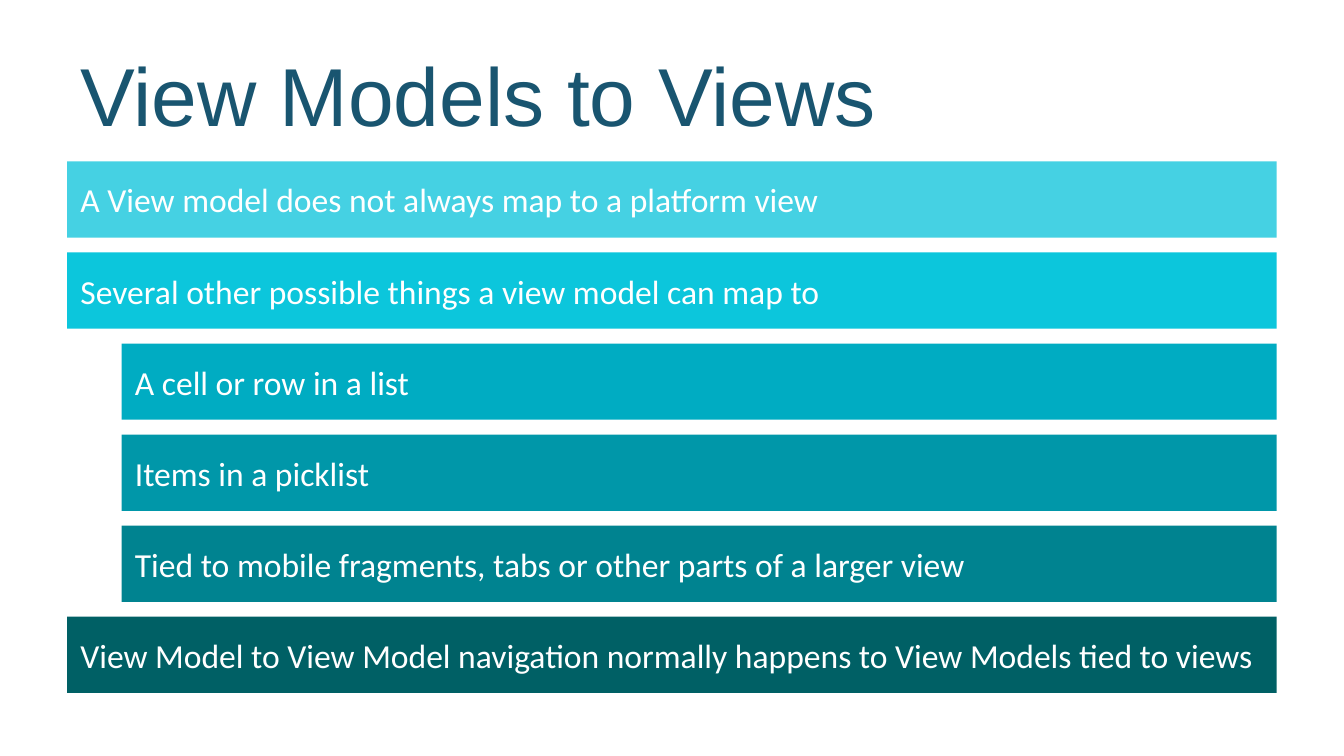
"""Build the slide "View Models to Views" with its stack of coloured bars."""
from pptx import Presentation
from pptx.dml.color import RGBColor
from pptx.enum.shapes import MSO_SHAPE
from pptx.enum.text import MSO_ANCHOR, PP_ALIGN
from pptx.util import Cm, Pt

WHITE = RGBColor(0xFF, 0xFF, 0xFF)
NAVY = RGBColor(0x19, 0x55, 0x70)
SKY = RGBColor(0x45, 0xD1, 0xE3)
CYAN = RGBColor(0x0C, 0xC6, 0xDC)
TURQUOISE = RGBColor(0x00, 0xAC, 0xC2)
TEAL = RGBColor(0x00, 0x97, 0xA9)
DEEP_TEAL = RGBColor(0x00, 0x83, 0x90)
DARK_TEAL = RGBColor(0x00, 0x60, 0x65)

TITLE = "View Models to Views"
BARS = [
    ("A View model does not always map to a platform view", 0, SKY),
    ("Several other possible things a view model can map to", 0, CYAN),
    ("A cell or row in a list", 1, TURQUOISE),
    ("Items in a picklist", 1, TEAL),
    ("Tied to mobile fragments, tabs or other parts of a larger view", 1, DEEP_TEAL),
    ("View Model to View Model navigation normally happens to View Models tied to views",
     0, DARK_TEAL),
]

LEFT, WIDTH = 1.27, 22.86
BAR_TOP, BAR_HEIGHT, BAR_PITCH, INDENT = 3.05, 1.44, 1.72, 1.03


def write(sp, text, font="Calibri", size=18, color=WHITE):
    tf = sp.text_frame
    tf.word_wrap = True
    tf.vertical_anchor = MSO_ANCHOR.MIDDLE
    tf.margin_left = tf.margin_right = Cm(0.25)
    tf.margin_top = tf.margin_bottom = Cm(0.13)
    p = tf.paragraphs[0]
    p.alignment = PP_ALIGN.LEFT
    r = p.add_run()
    r.text = text
    r.font.name = font
    r.font.size = Pt(size)
    r.font.color.rgb = color


def add_bar(s, row, text, level, color):
    shift = level * INDENT
    sp = s.shapes.add_shape(
        MSO_SHAPE.RECTANGLE, Cm(LEFT + shift), Cm(BAR_TOP + row * BAR_PITCH),
        Cm(WIDTH - shift), Cm(BAR_HEIGHT))
    sp.shadow.inherit = False
    sp.fill.solid()
    sp.fill.fore_color.rgb = color
    sp.line.fill.background()
    write(sp, text)


def main():
    prs = Presentation()
    prs.slide_width, prs.slide_height = Cm(25.4), Cm(14.28)
    s = prs.slides.add_slide(prs.slide_layouts[5])
    title = s.shapes.title
    title.left, title.top = Cm(LEFT), Cm(0.58)
    title.width, title.height = Cm(WIDTH), Cm(2.39)
    write(title, TITLE, font="Arial", size=44, color=NAVY)
    for row, (text, level, color) in enumerate(BARS):
        add_bar(s, row, text, level, color)
    prs.save("out.pptx")


if __name__ == "__main__":
    main()
